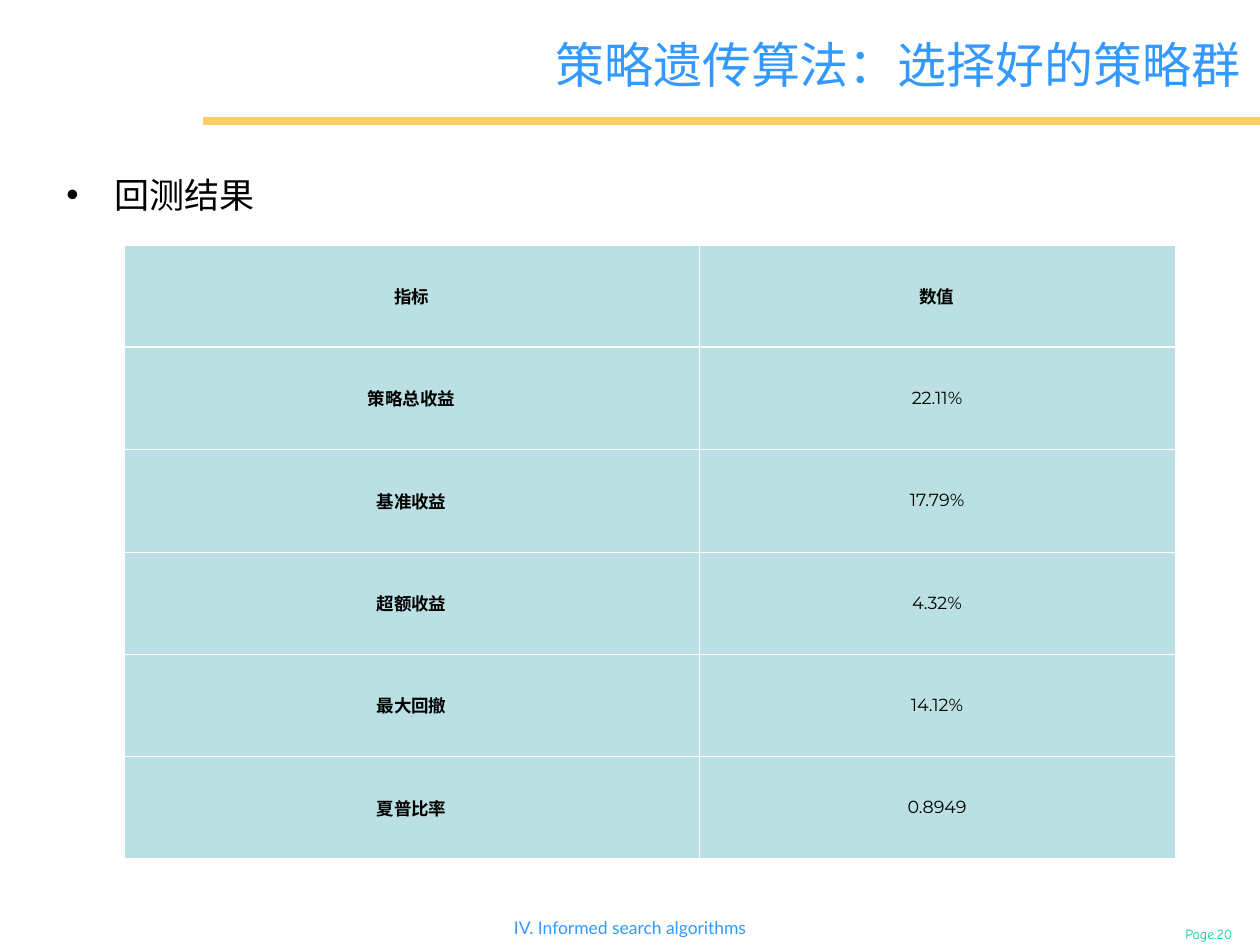
from lxml import etree
from pptx import Presentation
from pptx.dml.color import RGBColor
from pptx.enum.shapes import MSO_CONNECTOR
from pptx.enum.text import MSO_ANCHOR, PP_ALIGN
from pptx.oxml.ns import qn
from pptx.util import Emu, Pt

CENTER, RIGHT = PP_ALIGN.CENTER, PP_ALIGN.RIGHT
MIDDLE = MSO_ANCHOR.MIDDLE
STRAIGHT = MSO_CONNECTOR.STRAIGHT

TITLE = "策略遗传算法：选择好的策略群"
BULLET = "回测结果"
FOOTER = "IV. Informed search algorithms"
PAGE = "Page.20"
RESULTS = [
    ("指标", "数值"),
    ("策略总收益", "22.11%"),
    ("基准收益", "17.79%"),
    ("超额收益", "4.32%"),
    ("最大回撤", "14.12%"),
    ("夏普比率", "0.8949"),
]

COLORS = {
    "blue": "3399FF",
    "gold": "FFCC66",
    "green": "00CC99",
    "cell": "BBE0E3",
    "border": "FFFFFF",
    "text": "000000",
}
FONT = "Montserrat"
COLUMNS = (575, 476)
TABLE_LEFT, TABLE_TOP, TABLE_HEIGHT = 124, 245, 614
THIN, THICK = 0.45, 1.47


def px(length):
    return Emu(round(length * 914400 / 126))


def rgb(name):
    return RGBColor.from_string(COLORS[name])


def write(frame, text, size, color, font=FONT, align=None, bold=None):
    paragraph = frame.paragraphs[0]
    paragraph.alignment = align
    run = paragraph.add_run()
    run.text = text
    run.font.size = Pt(size)
    run.font.name = font
    run.font.bold = bold
    run.font.color.rgb = rgb(color)
    return paragraph


def add_text(slide, box, wrap, *args, **kwargs):
    frame = slide.shapes.add_textbox(*map(px, box)).text_frame
    frame.word_wrap = wrap
    return write(frame, *args, **kwargs)


def add_bullet(paragraph, indent):
    properties = paragraph._p.get_or_add_pPr()
    properties.set("marL", str(px(indent)))
    properties.set("indent", str(-px(indent)))
    color = etree.SubElement(properties, qn("a:buClr"))
    etree.SubElement(color, qn("a:srgbClr"), val=COLORS["text"])
    etree.SubElement(properties, qn("a:buFont"), typeface="Arial")
    etree.SubElement(properties, qn("a:buChar"), char="•")


def set_borders(cell, top, bottom):
    properties = cell._tc.get_or_add_tcPr()
    for side, width in (("L", THIN), ("R", THIN), ("T", top), ("B", bottom)):
        line = etree.SubElement(properties, qn(f"a:ln{side}"), w=str(Pt(width)))
        fill = etree.SubElement(line, qn("a:solidFill"))
        etree.SubElement(fill, qn("a:srgbClr"), val=COLORS["border"])


def add_results(slide):
    table = slide.shapes.add_table(
        len(RESULTS), len(COLUMNS), px(TABLE_LEFT), px(TABLE_TOP),
        px(sum(COLUMNS)), px(TABLE_HEIGHT)).table
    for column, width in zip(table.columns, COLUMNS):
        column.width = px(width)
    for r, values in enumerate(RESULTS):
        table.rows[r].height = px(TABLE_HEIGHT / len(RESULTS))
        for c, value in enumerate(values):
            cell = table.cell(r, c)
            set_borders(cell, THICK if r == 1 else THIN, THICK if r == 0 else THIN)
            cell.fill.solid()
            cell.fill.fore_color.rgb = rgb("cell")
            cell.vertical_anchor = MIDDLE
            cell.margin_left = cell.margin_right = px(9)
            write(cell.text_frame, value, 10, "text", align=CENTER,
                  bold=r == 0 or c == 0)


def main():
    deck = Presentation()
    deck.slide_width, deck.slide_height = px(1260), px(945)
    slide = deck.slides.add_slide(deck.slide_layouts[5])

    rule = slide.shapes.add_connector(STRAIGHT, px(203), px(121), px(1260), px(121))
    rule.line.color.rgb = rgb("gold")
    rule.line.width = Pt(4.5)
    etree.SubElement(rule._element.spPr, qn("a:effectLst"))

    title = slide.shapes.title
    title.left, title.top, title.width, title.height = map(px, (236, 16, 1017, 96))
    title.text_frame.vertical_anchor = MIDDLE
    write(title.text_frame, TITLE, 28, "blue", align=RIGHT)

    bullet = add_text(slide, (54, 125, 1172, 743), True, BULLET, 20, "text")
    bullet.line_spacing = 2.0
    add_bullet(bullet, 48)

    add_results(slide)
    add_text(slide, (490, 911, 280, 34), False, FOOTER, 10, "blue", "Lato", CENTER)
    add_text(slide, (1163, 919, 92, 30), True, PAGE, 8, "green", "Comic Neue", CENTER)

    deck.save("out.pptx")


if __name__ == "__main__":
    main()
